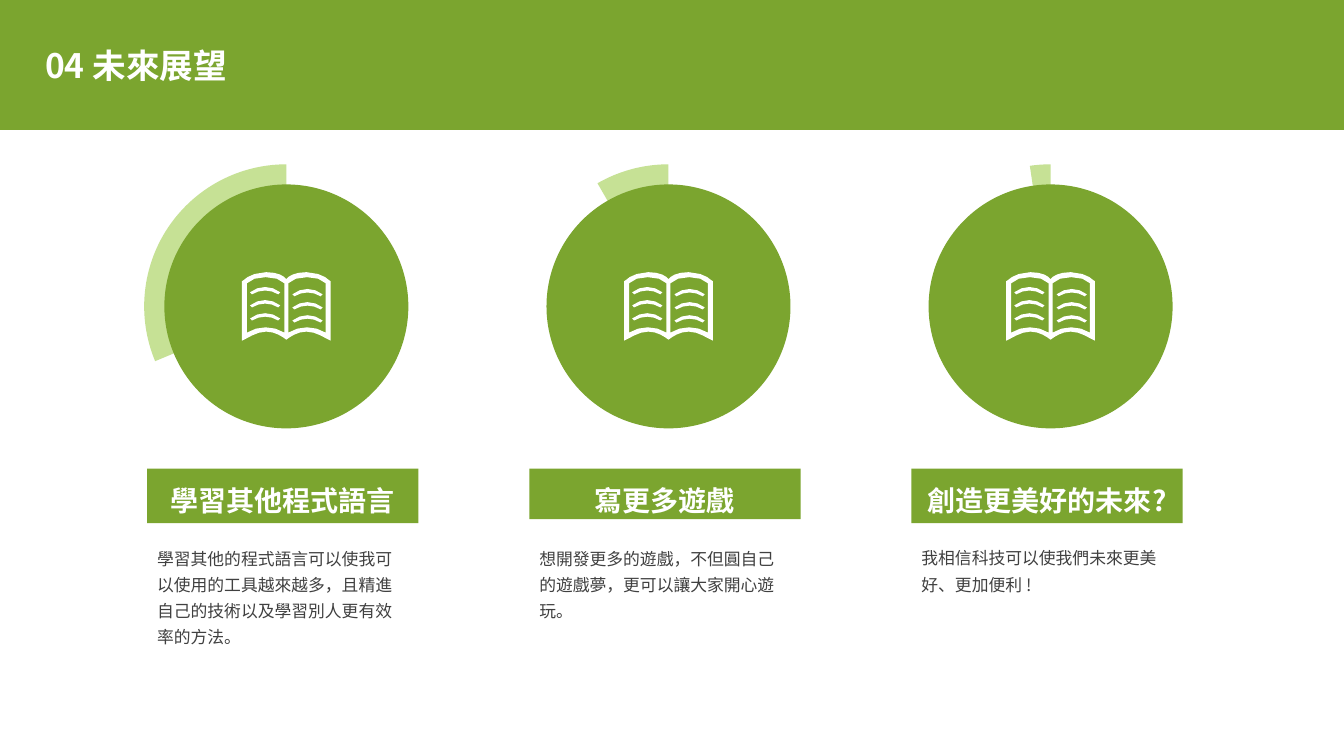
from lxml import etree
from pptx import Presentation
from pptx import util as u
from pptx.dml.color import RGBColor
from pptx.enum import shapes, text
from pptx.oxml.ns import qn

GREEN, PALE, WHITE, GREY = "7BA52F", "C6E195", "FFFFFF", "404040"
FONT = "Noto Sans CJK SC"
TITLE = "04 未來展望"
GOALS = [
    ("學習其他程式語言", "學習其他的程式語言可以使我可以使用的工具越來越多，且精進自己的技術以及學習別人更有效率的方法。", 0.54, 1.15, 157.34),
    ("寫更多遊戲", "想開發更多的遊戲，不但圓自己的遊戲夢，更可以讓大家開心遊玩。", 0.5, 0.89, 240.05),
    ("創造更美好的未來?", "我相信科技可以使我們未來更美好、更加便利 !", 0.54, 0.63, 261.62),
]
COVER = [(0, 0.07), (0.02, 0.04, 0.08, 0, 0.2, 0), (0.39, 0.01, 0.42, 0.09, 0.44, 0.09),
         (0.44, 0.68), (0.39, 0.66, 0.3, 0.59, 0.2, 0.59), (0.11, 0.59, 0.04, 0.64, 0, 0.67)]
PAGE = [(0.39, 0.6), (0.28, 0.53, 0.13, 0.53, 0.02, 0.6),
        (0.02, 0.11), (0.08, 0.03, 0.33, 0.03, 0.39, 0.11)]
WAVE = [(0.06, 0.2), (0.15, 0.13, 0.27, 0.13, 0.36, 0.2),
        (0.34, 0.22), (0.26, 0.17, 0.16, 0.17, 0.08, 0.22)]
FIRST_CENTRE, PITCH, DISC_Y, BOOK_TOP = 2.84, 3.79, 3.04, 2.7
WAVE_STEP, RIGHT_DROP = 0.13, 0.02


def paint(shape, colour):
    """Give a shape a flat fill without line or shadow."""
    shape.shadow.inherit = False
    shape.fill.solid()
    shape.fill.fore_color.rgb = RGBColor.from_string(colour)
    shape.line.fill.background()
    return shape


def add_preset(parent, kind, colour, *box):
    """Add a painted preset shape with its box in inches."""
    return paint(parent.add_shape(kind, *map(u.Inches, box)), colour)


def write(shape, words, size, colour, bold=False, spacing=1.3,
          align=text.PP_ALIGN.LEFT, anchor=text.MSO_ANCHOR.TOP):
    """Set and format the single paragraph of a shape."""
    frame = shape.text_frame
    frame.text = words
    frame.word_wrap = True
    frame.vertical_anchor = anchor
    line = frame.paragraphs[0]
    line.alignment, line.line_spacing = align, spacing
    for run in line.runs:
        font = run.font
        font.name, font.size, font.bold = FONT, u.Pt(size), bold
        font.color.rgb = RGBColor.from_string(colour)
        etree.SubElement(run._r.get_or_add_rPr(), qn("a:ea")).set("typeface", FONT)


def trace(outline, steps=4):
    """Turn corners and cubic curves into a list of points."""
    points = []
    for part in outline:
        if len(part) == 2:
            points.append(part)
            continue
        knots = [points[-1], part[:2], part[2:4], part[4:]]
        for step in range(1, steps + 1):
            t = step / steps
            weights = (1 - t) ** 3, 3 * t * (1 - t) ** 2, 3 * t * t * (1 - t), t ** 3
            points.append(tuple(sum(w * k[axis] for w, k in zip(weights, knots)) for axis in (0, 1)))
    return points


def mirror(points):
    """Reflect points across the spine of the book."""
    return [(-x, y) for x, y in points]


def add_outline(parent, contours, centre, top):
    """Draw closed white contours as one freeform."""
    placed = [[(u.Inches(centre + x), u.Inches(top + y)) for x, y in c] for c in contours]
    builder = parent.build_freeform(*placed[0][0])
    for index, points in enumerate(placed):
        if index:
            builder.move_to(*points[0])
        builder.add_line_segments(points[1:], close=True)
    paint(builder.convert_to_shape(), WHITE)


def add_book(parent, centre):
    """Draw an open book with three lines of writing on each page."""
    book = parent.add_group_shape().shapes
    half, page, wave = trace(COVER), trace(PAGE), trace(WAVE)
    add_outline(book, [half + mirror(half)[-2:0:-1], page, mirror(page)], centre, BOOK_TOP)
    for points, drop in ((mirror(wave), 0), (wave, RIGHT_DROP)):
        for row in range(3):
            add_outline(book, [points], centre, BOOK_TOP + drop + row * WAVE_STEP)


def add_goal(parent, centre, heading, body, heading_height, body_height, angle):
    """Draw one column: arc, disc, book, heading and body."""
    arc = add_preset(parent, shapes.MSO_SHAPE.PIE, PALE, centre - 1.41, DISC_Y - 1.41, 2.82, 2.82)
    arc.adjustments[0], arc.adjustments[1] = angle * 0.6, 270 * 0.6
    add_preset(parent, shapes.MSO_SHAPE.OVAL, GREEN, centre - 1.21, DISC_Y - 1.21, 2.42, 2.42)
    add_book(parent, centre)
    left, width = centre - 1.38, 2.69
    story = parent.add_textbox(*map(u.Inches, (left, 5.33, width, body_height)))
    write(story, body, 12, GREY)
    label = add_preset(parent, shapes.MSO_SHAPE.RECTANGLE, GREEN, left, 4.65, width, heading_height)
    write(label, heading, 20, WHITE, bold=True, align=text.PP_ALIGN.CENTER)


def main():
    """Build and save the slide."""
    deck = Presentation()
    deck.slide_width, deck.slide_height = u.Inches(13.33), u.Inches(7.5)
    slide = deck.slides.add_slide(deck.slide_layouts[6])
    slide.background.fill.solid()
    slide.background.fill.fore_color.rgb = RGBColor.from_string(GREEN)
    add_preset(slide.shapes, shapes.MSO_SHAPE.RECTANGLE, WHITE, 0, 1.29, 13.33, 6.21)
    title = slide.shapes.add_textbox(*map(u.Inches, (0.35, 0.28, 5.8, 0.79)))
    write(title, TITLE, 24, WHITE, bold=True, spacing=0.9, anchor=text.MSO_ANCHOR.MIDDLE)
    for column, goal in enumerate(GOALS):
        add_goal(slide.shapes, FIRST_CENTRE + column * PITCH, *goal)
    deck.save("out.pptx")


if __name__ == "__main__":
    main()
